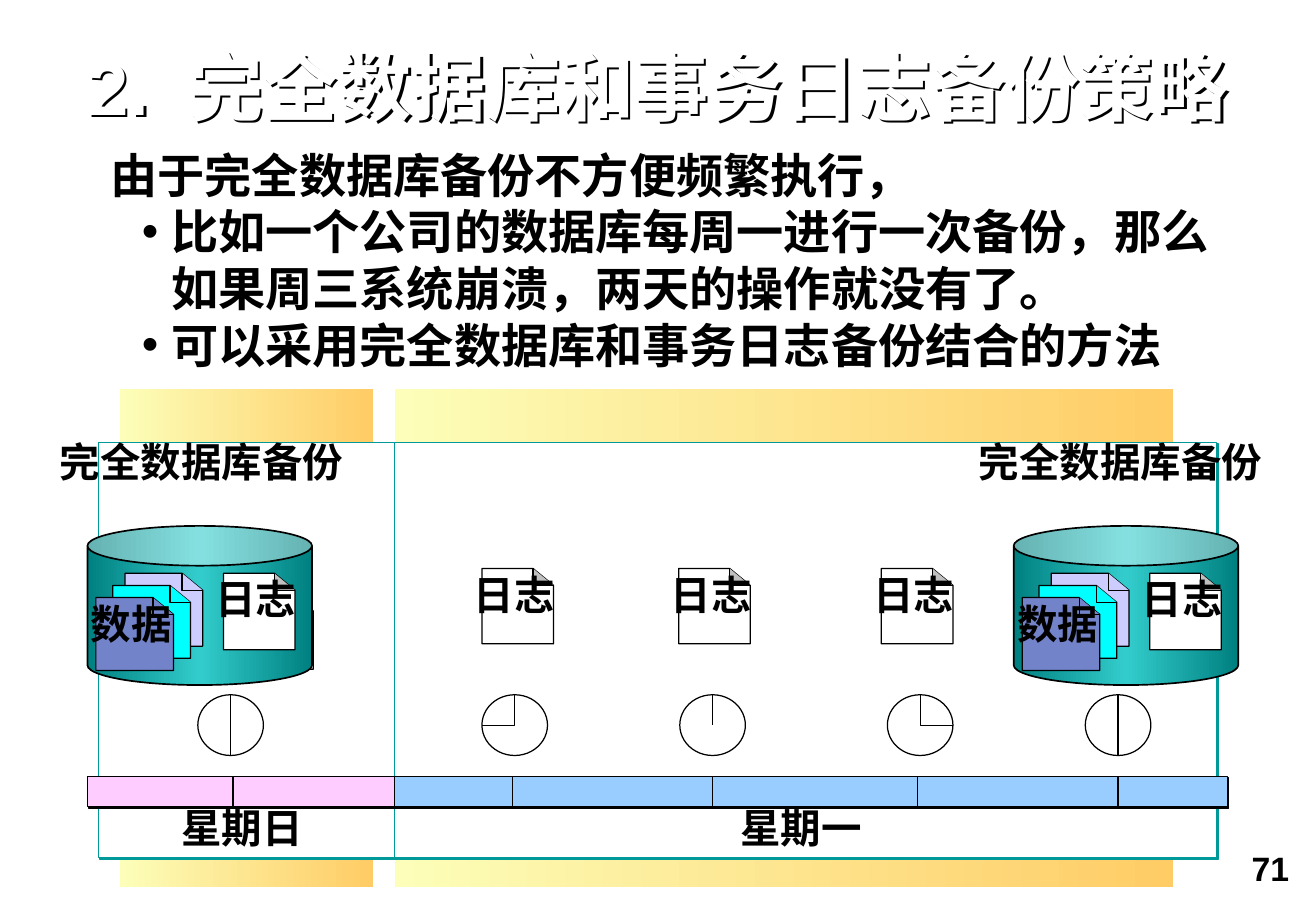
from lxml import etree
from pptx import Presentation
from pptx.dml.color import RGBColor
from pptx.enum import shapes, text
from pptx.oxml import ns
from pptx.util import Inches, Pt

BLACK = RGBColor(0x00, 0x00, 0x00)
WHITE = RGBColor(0xFF, 0xFF, 0xFF)
GREY = RGBColor(0xC0, 0xC0, 0xC0)
CREAM = RGBColor(0xFC, 0xFE, 0xB9)
GOLD = RGBColor(0xFF, 0xCC, 0x66)
TEAL = RGBColor(0x00, 0x99, 0x99)
DEEP = RGBColor(0x00, 0x80, 0x80)
AQUA = RGBColor(0x33, 0xCC, 0xCC)
CYAN = RGBColor(0x00, 0xFF, 0xFF)
LILAC = RGBColor(0xCC, 0xCC, 0xFF)
SLATE = RGBColor(0x72, 0x83, 0xCA)
PINK = RGBColor(0xFF, 0xCC, 0xFF)
SKY = RGBColor(0x99, 0xCC, 0xFF)
LATIN = "Arial"
HAN = "Noto Sans CJK SC"
FORM = shapes.MSO_SHAPE
ALIGN = text.PP_ALIGN
ANCHOR = text.MSO_ANCHOR


def sub(node, tag, **attrs):
    return etree.SubElement(node, ns.qn(tag), attrs)


def cast(shape, color, dist=1.4):
    shape.shadow.inherit = False
    node = shape._element.spPr.find(ns.qn("a:effectLst"))
    glow = sub(node, "a:outerShdw", dist=str(Pt(dist)), dir="2700000",
               algn="ctr", rotWithShape="0")
    sub(glow, "a:srgbClr", val=str(color))


def place(shape, box):
    shape.left, shape.top, shape.width, shape.height = map(Inches, box)


def style(shape, fill=None, line=BLACK, width=0.75):
    shape.shadow.inherit = False
    if fill is None:
        shape.fill.background()
    else:
        shape.fill.solid()
        shape.fill.fore_color.rgb = fill
    if line is None:
        shape.line.fill.background()
    else:
        shape.line.color.rgb = line
        shape.line.width = Pt(width)


def form(slide, kind, box, fill=None, line=BLACK, width=0.75, shade=None):
    shape = slide.shapes.add_shape(kind, *map(Inches, box))
    style(shape, fill, line, width)
    if shade is not None:
        cast(shape, shade)
    return shape


def blend(shape, *colors):
    shape.fill.gradient()
    shape.fill.gradient_angle = 0
    stops = shape._element.spPr.find(".//" + ns.qn("a:gsLst"))
    for stop in list(stops):
        stops.remove(stop)
    for i, color in enumerate(colors):
        stop = sub(stops, "a:gs", pos=str(100000 * i // (len(colors) - 1)))
        sub(stop, "a:srgbClr", val=str(color))


def trace(slide, points, fill=None, close=False):
    pts = [(Inches(x), Inches(y)) for x, y in points]
    pen = slide.shapes.build_freeform(*pts[0], scale=1.0)
    pen.add_line_segments(pts[1:], close=close)
    style(pen.convert_to_shape(), fill)


def rule(slide, start, end):
    line = slide.shapes.add_connector(
        shapes.MSO_CONNECTOR.STRAIGHT, *map(Inches, start + end))
    line.line.color.rgb = BLACK
    line.line.width = Pt(0.75)
    sub(line._element.spPr, "a:effectLst")


def write(para, words, size, color=BLACK, latin=LATIN, lead=1.2):
    run = para.add_run()
    run.text = words
    font = run.font
    font.size, font.bold, font.name = Pt(size), True, latin
    font.color.rgb = color
    sub(run._r.get_or_add_rPr(), "a:ea", typeface=HAN)
    para.line_spacing = Pt(round(size * lead, 1))
    para.space_before = para.space_after = Pt(0)


def label(slide, box, words):
    frame = slide.shapes.add_textbox(*map(Inches, box)).text_frame
    frame.word_wrap = False
    frame.auto_size = text.MSO_AUTO_SIZE.SHAPE_TO_FIT_TEXT
    para = frame.paragraphs[0]
    para.alignment = ALIGN.CENTER
    write(para, words, 24, latin=HAN)


def head(slide, box):
    title = slide.shapes.title
    place(title, box)
    title.fill.background()
    title.line.fill.background()
    cast(title, BLACK, 2)
    frame = title.text_frame
    frame.word_wrap = True
    frame.auto_size = text.MSO_AUTO_SIZE.NONE
    frame.vertical_anchor = ANCHOR.BOTTOM
    frame.margin_left = frame.margin_right = 0
    frame.margin_top = frame.margin_bottom = 0
    para = frame.paragraphs[0]
    para.alignment = ALIGN.LEFT
    write(para, "2.\t完全数据库和事务日志备份策略", 44, WHITE, lead=1.18)
    tabs = sub(para._p.get_or_add_pPr(), "a:tabLst")
    sub(tabs, "a:tab", pos=str(Inches(0.84)), algn="l")


def notes(slide, box):
    body = slide.placeholders[1]
    place(body, box)
    frame = body.text_frame
    frame.word_wrap = True
    frame.auto_size = text.MSO_AUTO_SIZE.NONE
    frame.vertical_anchor = ANCHOR.MIDDLE
    lines = ("由于完全数据库备份不方便频繁执行，",
             "比如一个公司的数据库每周一进行一次备份，那么如果周三系统崩溃，两天的操作就没有了。",
             "可以采用完全数据库和事务日志备份结合的方法")
    for i, words in enumerate(lines):
        para = frame.add_paragraph() if i else frame.paragraphs[0]
        para.level = min(i, 1)
        para.alignment = ALIGN.LEFT
        write(para, words, 28)
        props = para._p.get_or_add_pPr()
        props.set("marL", str(Inches(0.5 if i else 0)))
        props.set("indent", str(Inches(-0.24 if i else 0)))
        if i:
            sub(props, "a:buFont", typeface=LATIN)
            sub(props, "a:buChar", char="•")
        else:
            sub(props, "a:buNone")


def page(slide, x, y, w, h, fill, fold, words=None):
    bend, drop = x + w - 0.17, y + 0.14
    trace(slide, [(x, y), (bend, y), (x + w, drop), (x + w, y + h), (x, y + h)],
          fill, True)
    trace(slide, [(bend, y), (bend, drop), (x + w, drop)], fold)
    if words:
        label(slide, (x + w / 2 - 0.46, y - 0.04, 0.94, 0.5), words)


def store(slide, x, y):
    can = form(slide, FORM.CAN, (x, y, 1.85, 1.31), WHITE, width=1)
    can.adjustments[0] = 0.25
    blend(can, DEEP, AQUA, DEEP)
    sheets = ((0.31, 0.39, LILAC, None), (0.21, 0.49, CYAN, None),
              (0.07, 0.59, SLATE, "数据 "))
    for dx, dy, fill, words in sheets:
        page(slide, x + dx, y + dy, 0.64, 0.6, fill, fill, words)
    page(slide, x + 1.12, y + 0.39, 0.59, 0.63, WHITE, GREY, "日志 ")


def clock(slide, x, y, hands):
    w, h = 0.54, 0.5
    form(slide, FORM.OVAL, (x, y, w, h), WHITE)
    points = [(x + w * dx, y + h * dy) for dx, dy in hands]
    if len(points) == 2:
        rule(slide, *points)
    else:
        trace(slide, points)


def day(slide, x, w, words):
    box = form(slide, FORM.RECTANGLE, (x, 3.64, w, 3.42), WHITE, TEAL, shade=TEAL)
    frame = box.text_frame
    frame.word_wrap = False
    frame.vertical_anchor = ANCHOR.BOTTOM
    para = frame.paragraphs[0]
    para.alignment = ALIGN.CENTER
    write(para, words, 24)


def chart(slide):
    for x, w in ((3.25, 6.41), (0.99, 2.08)):
        back = form(slide, FORM.RECTANGLE, (x, 3.2, w, 4.1), WHITE, None)
        blend(back, CREAM, GOLD)
    day(slide, 0.81, 2.44, "星期日 ")
    day(slide, 3.25, 6.77, "星期一 ")
    for x, w, fill in ((0.72, 2.53, PINK), (3.25, 6.86, SKY)):
        form(slide, FORM.RECTANGLE, (x, 6.39, w, 0.25), fill, shade=BLACK)
    for x in (0.36, 7.93):
        label(slide, (x, 3.55, 2.6, 0.5), "完全数据库备份 ")
    for x in (3.97, 5.59, 7.26):
        page(slide, x, 4.68, 0.59, 0.62, WHITE, GREY, "日志 ")
    page(slide, 1.99, 4.89, 0.59, 0.62, WHITE, GREY)
    for x in (8.35, 0.72):
        store(slide, x, 4.33)
    for x in (1.92, 4.22, 5.87, 7.56, 9.21):
        rule(slide, (x, 6.39), (x, 6.64))
    top, mid = (0.5, 0), (0.5, 0.5)
    six = (top, (0.5, 1))
    times = ((1.63, six), (3.97, (top, mid, (0, 0.5))), (5.6, (top, mid)),
             (7.31, (top, mid, (1, 0.5))), (8.94, six))
    for x, hands in times:
        clock(slide, x, 5.72, hands)


def foot(slide, box):
    frame = slide.shapes.add_textbox(*map(Inches, box)).text_frame
    frame.word_wrap = True
    frame.margin_left = frame.margin_right = Inches(0.13)
    frame.margin_top = frame.margin_bottom = Inches(0.06)
    para = frame.paragraphs[0]
    para.alignment = ALIGN.RIGHT
    write(para, "71", 20)


def main():
    deck = Presentation()
    deck.slide_width, deck.slide_height = Inches(10.84), Inches(7.5)
    slide = deck.slides.add_slide(deck.slide_layouts[1])
    head(slide, (0.72, 0.35, 9.7, 0.72))
    notes(slide, (0.81, 1.15, 9.47, 1.97))
    chart(slide)
    foot(slide, (8.01, 6.92, 2.74, 0.58))
    deck.save("out.pptx")


if __name__ == "__main__":
    main()
